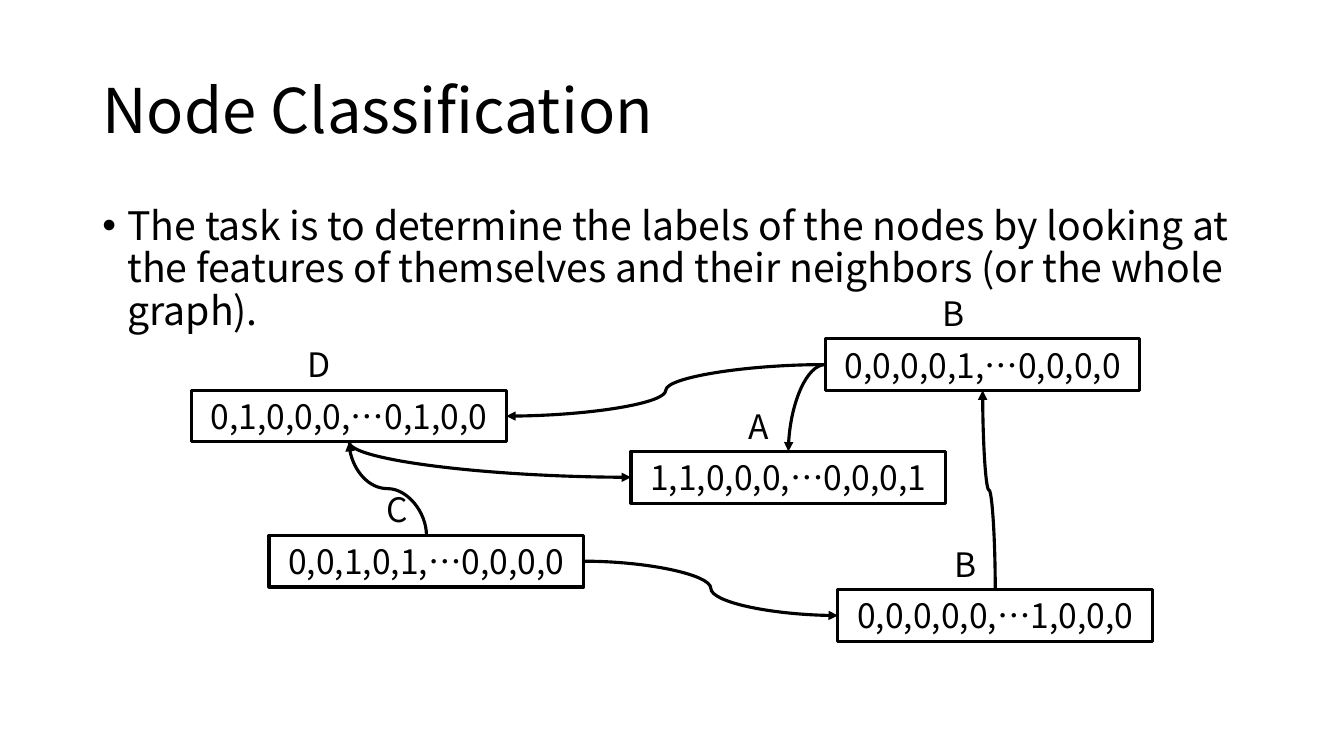
from lxml import etree
from pptx import Presentation
from pptx.dml.color import RGBColor
from pptx.enum.shapes import MSO_CONNECTOR, MSO_SHAPE
from pptx.enum.text import MSO_ANCHOR, PP_ALIGN
from pptx.oxml.ns import qn
from pptx.util import Pt

CURVE = MSO_CONNECTOR.CURVE
RECT = MSO_SHAPE.RECTANGLE
MIDDLE, TOP_ANCHOR = MSO_ANCHOR.MIDDLE, MSO_ANCHOR.TOP
LEFT_ALIGN, CENTER = PP_ALIGN.LEFT, PP_ALIGN.CENTER
TOP, LEFT, BOTTOM, RIGHT = range(4)

FONT = "Noto Sans CJK SC"
BLACK = "000000"
NODE_W, NODE_H = 224.8, 36.9
LABEL_DX, LABEL_W, LABEL_H = 70.4, 41.8, 36.4

NODES = {
    "D": ("D", "0,1,0,0,0,…0,1,0,0", 136.9, 278.8),
    "C": ("C", "0,0,1,0,1,…0,0,0,0", 192.2, 382.4),
    "A": ("A", "1,1,0,0,0,…0,0,0,1", 450.8, 322.5),
    "B upper": ("B", "0,0,0,0,1,…0,0,0,0", 589.5, 242),
    "B lower": ("B", "0,0,0,0,0,…1,0,0,0", 598.5, 421.2),
}
EDGES = [
    ("D", BOTTOM, "A", LEFT),
    ("C", TOP, "D", BOTTOM),
    ("B upper", LEFT, "A", TOP),
    ("C", RIGHT, "B lower", LEFT),
    ("B lower", TOP, "B upper", BOTTOM),
    ("B upper", LEFT, "D", RIGHT),
]


def color(value):
    """Turn a hex string into a colour."""
    return RGBColor.from_string(value)


def write(sp, text, size, align=CENTER, anchor=MIDDLE):
    """Put one formatted run into a shape and return its paragraph."""
    tf = sp.text_frame
    tf.word_wrap = True
    tf.vertical_anchor = anchor
    p = tf.paragraphs[0]
    p.alignment = align
    r = p.add_run()
    r.text = text
    r.font.size = Pt(size)
    r.font.name = FONT
    r.font.color.rgb = color(BLACK)
    etree.SubElement(r.font._element, qn("a:ea"), typeface=FONT)
    return p


def add_title(s, x, y, w, h):
    """Place and fill the title placeholder."""
    sp = s.shapes.title
    sp.left, sp.top, sp.width, sp.height = Pt(x), Pt(y), Pt(w), Pt(h)
    write(sp, "Node Classification", 44, LEFT_ALIGN).line_spacing = 0.9


def add_task(s, x, y, w, h):
    """Add the bulleted description of the task."""
    sp = s.shapes.add_textbox(Pt(x), Pt(y), Pt(w), Pt(h))
    p = write(sp, "The task is to determine the labels of the nodes by looking at "
              "the features of themselves and their neighbors (or the whole graph).",
              28, LEFT_ALIGN, TOP_ANCHOR)
    p.line_spacing = 0.9
    pPr = p._p.get_or_add_pPr()
    pPr.set("marL", str(Pt(18)))
    pPr.set("indent", str(Pt(-18)))
    etree.SubElement(pPr, qn("a:buFont"), typeface="Arial")
    etree.SubElement(pPr, qn("a:buChar"), char="•")


def add_node(s, label, features, x, y):
    """Add a feature box with its label above and return the box."""
    sp = s.shapes.add_shape(RECT, Pt(x), Pt(y), Pt(NODE_W), Pt(NODE_H))
    sp.shadow.inherit = False
    sp.fill.background()
    sp.line.color.rgb = color(BLACK)
    sp.line.width = Pt(2.25)
    write(sp, features, 24)
    tag = s.shapes.add_textbox(Pt(x + LABEL_DX), Pt(y - LABEL_H), Pt(LABEL_W), Pt(LABEL_H))
    write(tag, label, 24, anchor=TOP_ANCHOR)
    return sp


def add_edge(s, source, start, target, end):
    """Join two nodes by a curved arrow that leaves each side squarely."""
    c = s.shapes.add_connector(CURVE, 0, 0, 0, 0)
    c.begin_connect(source, start)
    c.end_connect(target, end)
    c.line.color.rgb = color(BLACK)
    c.line.width = Pt(2.25)
    etree.SubElement(c.line._get_or_add_ln(), qn("a:tailEnd"), type="triangle")
    spPr = c._element.spPr
    etree.SubElement(spPr, qn("a:effectLst"))
    if (start + end) % 2:
        spPr.find(qn("a:prstGeom")).set("prst", "curvedConnector2")
    if start in (TOP, BOTTOM):
        turn_upright(c, spPr.find(qn("a:xfrm")))


def turn_upright(c, xfrm):
    """Rotate a connector so that it starts vertically between the same ends."""
    dx, dy = c.end_x - c.begin_x, c.end_y - c.begin_y
    mid_x, mid_y = c.begin_x + dx // 2, c.begin_y + dy // 2
    c.width, c.height = abs(dy), abs(dx)
    c.left, c.top = mid_x - c.width // 2, mid_y - c.height // 2
    xfrm.set("rot", str(270 * 60000))
    xfrm.set("flipH", str(int(dy > 0)))
    xfrm.set("flipV", str(int(dx < 0)))


def add_graph(s):
    """Add all nodes and the arrows between them."""
    boxes = {key: add_node(s, *node) for key, node in NODES.items()}
    for source, start, target, end in EDGES:
        add_edge(s, boxes[source], start, boxes[target], end)


def main():
    """Build and save the slide."""
    prs = Presentation()
    prs.slide_width, prs.slide_height = Pt(960), Pt(540)
    s = prs.slides.add_slide(prs.slide_layouts[5])
    add_title(s, 66, 28.8, 828, 104.4)
    add_task(s, 66, 144, 828, 342.7)
    add_graph(s)
    prs.save("out.pptx")


if __name__ == "__main__":
    main()
